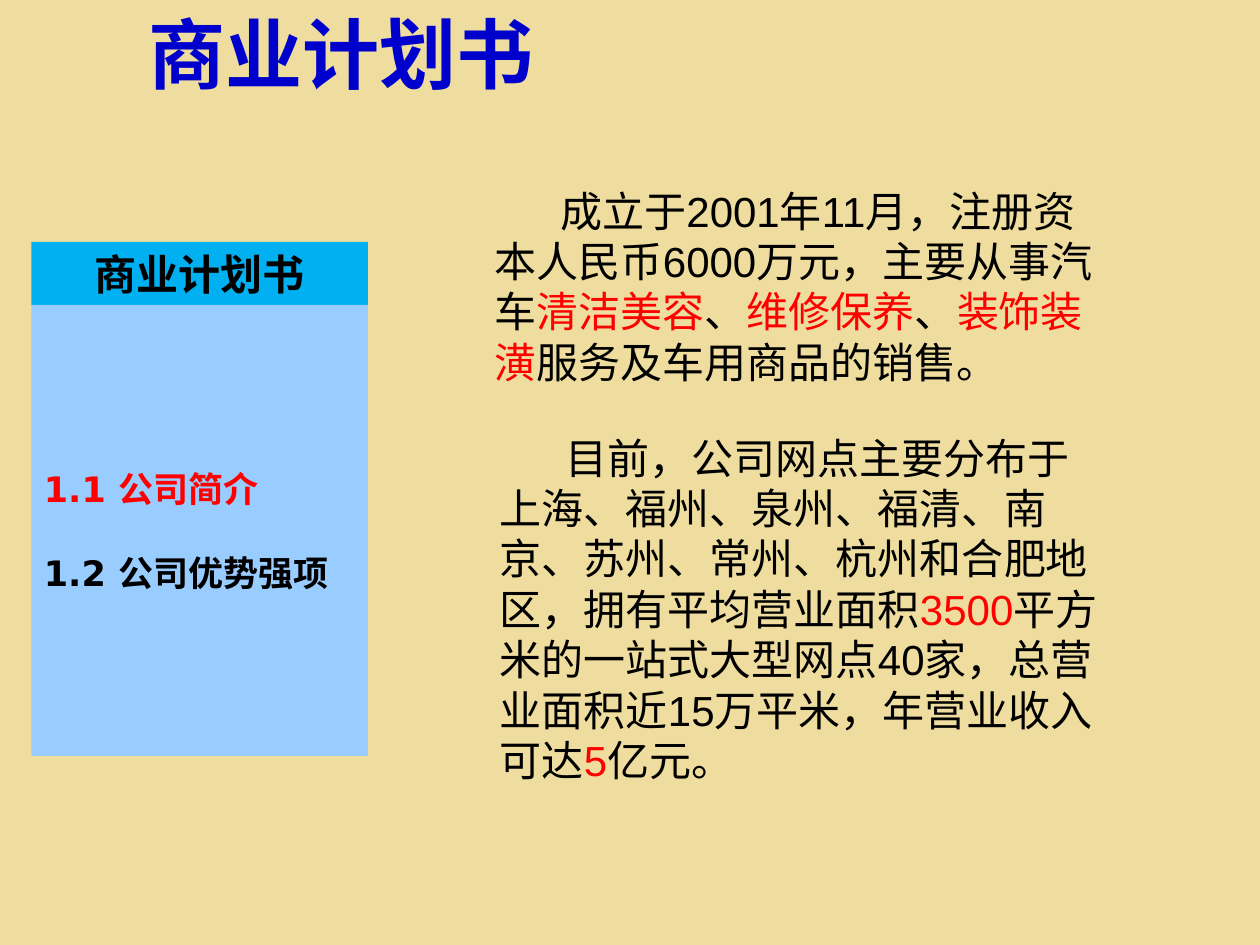
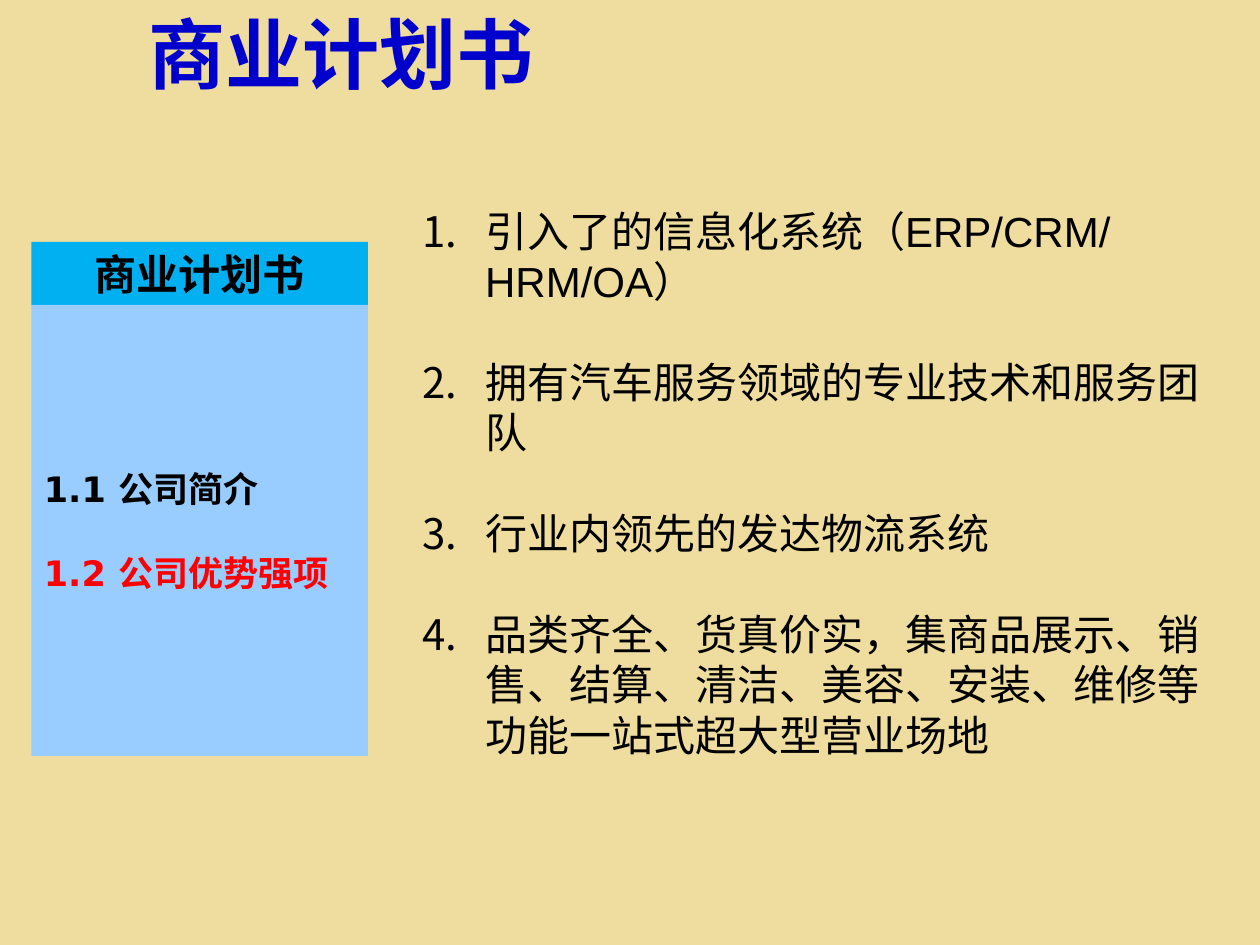
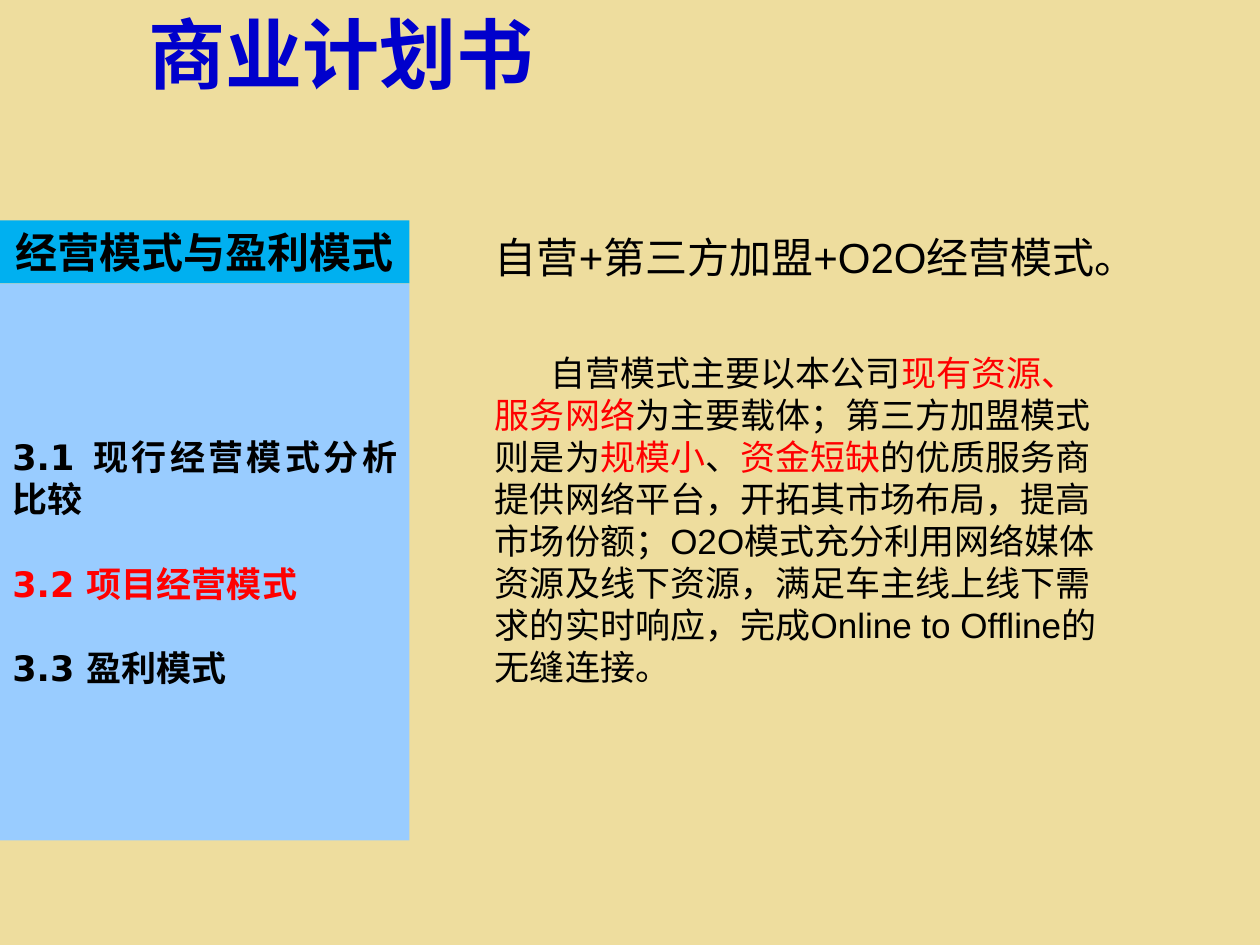
from lxml import etree
from pptx import Presentation
from pptx.dml.color import RGBColor
from pptx.enum.shapes import MSO_SHAPE
from pptx.enum.text import MSO_ANCHOR, MSO_AUTO_SIZE, PP_ALIGN
from pptx.oxml.ns import qn
from pptx.util import Inches, Pt

COLORS = {
    "background": "EEDD9E",
    "title": "0000CC",
    "heading": "00B0F0",
    "sidebar": "99CCFF",
    "text": "000000",
    "highlight": "FF0000",
}
CHINESE_FONT = "Noto Sans CJK SC"
SIDEBAR_FONT = "DejaVu Sans"
BODY_FONT = "Arial"
HEADING_HEIGHT = 0.5
TITLE_ONLY_LAYOUT, TITLE_AND_LIST_LAYOUT = 5, 1


def color(name):
    return RGBColor.from_string(COLORS[name])


def add_run(paragraph, text, size, font=BODY_FONT, color_name="text", bold=False):
    run = paragraph.add_run()
    run.text = text
    run.font.size = Pt(size)
    run.font.bold = bold
    run.font.name = font
    run.font.color.rgb = color(color_name)
    etree.SubElement(run._r.get_or_add_rPr(), qn("a:ea"), typeface=CHINESE_FONT)


def add_marked_runs(paragraph, text, size):
    """Add text in which every second part between bars is highlighted."""
    for index, part in enumerate(text.split("|")):
        add_run(paragraph, part, size, color_name="highlight" if index % 2 else "text")


def next_paragraph(text_frame, index):
    return text_frame.add_paragraph() if index else text_frame.paragraphs[0]


def set_indents(paragraph, left, first_line):
    """Set the indents and keep punctuation inside the right margin."""
    properties = paragraph._p.get_or_add_pPr()
    properties.set("marL", str(Inches(left)))
    properties.set("indent", str(Inches(first_line)))
    properties.set("hangingPunct", "0")
    return properties


def place(shape, left, top, width, height):
    shape.left, shape.top = Inches(left), Inches(top)
    shape.width, shape.height = Inches(width), Inches(height)


def add_slide(presentation, layout_index):
    slide = presentation.slides.add_slide(presentation.slide_layouts[layout_index])
    title = slide.shapes.title
    place(title, 1.08, 0, 7.83, 0.84)
    title.text_frame.vertical_anchor = MSO_ANCHOR.TOP
    title.text_frame.auto_size = MSO_AUTO_SIZE.SHAPE_TO_FIT_TEXT
    paragraph = title.text_frame.paragraphs[0]
    paragraph.alignment = PP_ALIGN.LEFT
    add_run(paragraph, "商业计划书", 44, CHINESE_FONT, "title", bold=True)
    return slide


def add_panel(slide, left, top, width, height, fill_name):
    panel = slide.shapes.add_shape(
        MSO_SHAPE.RECTANGLE, Inches(left), Inches(top), Inches(width), Inches(height)
    )
    panel.shadow.inherit = False
    panel.fill.solid()
    panel.fill.fore_color.rgb = color(fill_name)
    panel.line.fill.background()
    panel.text_frame.word_wrap = True
    panel.text_frame.vertical_anchor = MSO_ANCHOR.MIDDLE
    return panel.text_frame


def add_sidebar(slide, left, top, width, list_height, heading, sections, current):
    """Add the chapter heading and its sections, with the current one highlighted."""
    heading_frame = add_panel(slide, left, top, width, HEADING_HEIGHT, "heading")
    paragraph = heading_frame.paragraphs[0]
    paragraph.alignment = PP_ALIGN.CENTER
    add_run(paragraph, heading, 24, CHINESE_FONT, bold=True)

    list_frame = add_panel(
        slide, left, top + HEADING_HEIGHT, width, list_height, "sidebar"
    )
    for index, section in enumerate(sections):
        paragraph = next_paragraph(list_frame, index)
        paragraph.alignment = PP_ALIGN.JUSTIFY
        paragraph.space_before = Pt(24 if index else 0)
        color_name = "highlight" if index == current else "text"
        add_run(paragraph, section, 20, SIDEBAR_FONT, color_name, bold=True)


def add_text(slide, left, top, width, height, text, size, first_line_indent=0):
    box = slide.shapes.add_textbox(
        Inches(left), Inches(top), Inches(width), Inches(height)
    )
    box.text_frame.word_wrap = True
    box.text_frame.auto_size = MSO_AUTO_SIZE.SHAPE_TO_FIT_TEXT
    paragraph = box.text_frame.paragraphs[0]
    set_indents(paragraph, 0, first_line_indent)
    add_marked_runs(paragraph, text, size)


def fill_numbered_list(placeholder, items):
    text_frame = placeholder.text_frame
    text_frame.auto_size = MSO_AUTO_SIZE.SHAPE_TO_FIT_TEXT
    for index, item in enumerate(items):
        paragraph = next_paragraph(text_frame, index)
        paragraph.space_before = Pt(28.8 if index else 0)
        properties = set_indents(paragraph, 0.5, -0.5)
        etree.SubElement(properties, qn("a:buFont"), typeface=CHINESE_FONT)
        etree.SubElement(properties, qn("a:buAutoNum"), type="arabicPeriod")
        add_run(paragraph, item, 24)


def add_company_sidebar(slide, current):
    sections = ["1.1 公司简介", "1.2 公司优势强项"]
    add_sidebar(slide, 0.25, 1.92, 2.67, 3.58, "商业计划书", sections, current)


def add_profile_slide(presentation):
    slide = add_slide(presentation, TITLE_ONLY_LAYOUT)
    add_company_sidebar(slide, 0)
    add_text(
        slide, 3.83, 1.42, 5, 1.72,
        "成立于2001年11月，注册资本人民币6000万元，主要从事汽车|清洁美容|、"
        "|维修保养|、|装饰装潢|服务及车用商品的销售。",
        24, first_line_indent=0.52,
    )
    add_text(
        slide, 3.87, 3.38, 5, 2.93,
        "目前，公司网点主要分布于上海、福州、泉州、福清、南京、苏州、常州、杭州和合肥地区，"
        "拥有平均营业面积|3500|平方米的一站式大型网点40家，总营业面积近15万平米，"
        "年营业收入可达|5|亿元。",
        24, first_line_indent=0.52,
    )


def add_strengths_slide(presentation):
    slide = add_slide(presentation, TITLE_AND_LIST_LAYOUT)
    add_company_sidebar(slide, 1)
    strengths = slide.placeholders[1]
    place(strengths, 3.25, 1.58, 6.58, 4.54)
    fill_numbered_list(strengths, [
        "引入了的信息化系统（ERP/CRM/HRM/OA）",
        "拥有汽车服务领域的专业技术和服务团队",
        "行业内领先的发达物流系统",
        "品类齐全、货真价实，集商品展示、销售、结算、清洁、美容、安装、维修等"
        "功能一站式超大型营业场地",
    ])


def add_business_model_slide(presentation):
    slide = add_slide(presentation, TITLE_ONLY_LAYOUT)
    sections = ["3.1 现行经营模式分析比较", "3.2 项目经营模式", "3.3 盈利模式"]
    add_sidebar(slide, 0, 1.75, 3.25, 4.42, "经营模式与盈利模式", sections, 1)
    add_text(slide, 3.83, 1.79, 5.42, 0.5, "自营+第三方加盟+O2O经营模式。", 24)
    add_text(
        slide, 3.83, 2.74, 5, 3.13,
        "自营模式主要以本公司|现有资源、服务网络|为主要载体；第三方加盟模式则是为"
        "|规模小|、|资金短缺|的优质服务商提供网络平台，开拓其市场布局，提高市场份额；"
        "O2O模式充分利用网络媒体资源及线下资源，满足车主线上线下需求的实时响应，"
        "完成Online to Offline的无缝连接。",
        20, first_line_indent=0.44,
    )


def main():
    presentation = Presentation()
    presentation.slide_width, presentation.slide_height = Inches(10), Inches(7.5)
    background = presentation.slide_master.background.fill
    background.solid()
    background.fore_color.rgb = color("background")
    add_profile_slide(presentation)
    add_strengths_slide(presentation)
    add_business_model_slide(presentation)
    presentation.save("out.pptx")


if __name__ == "__main__":
    main()
